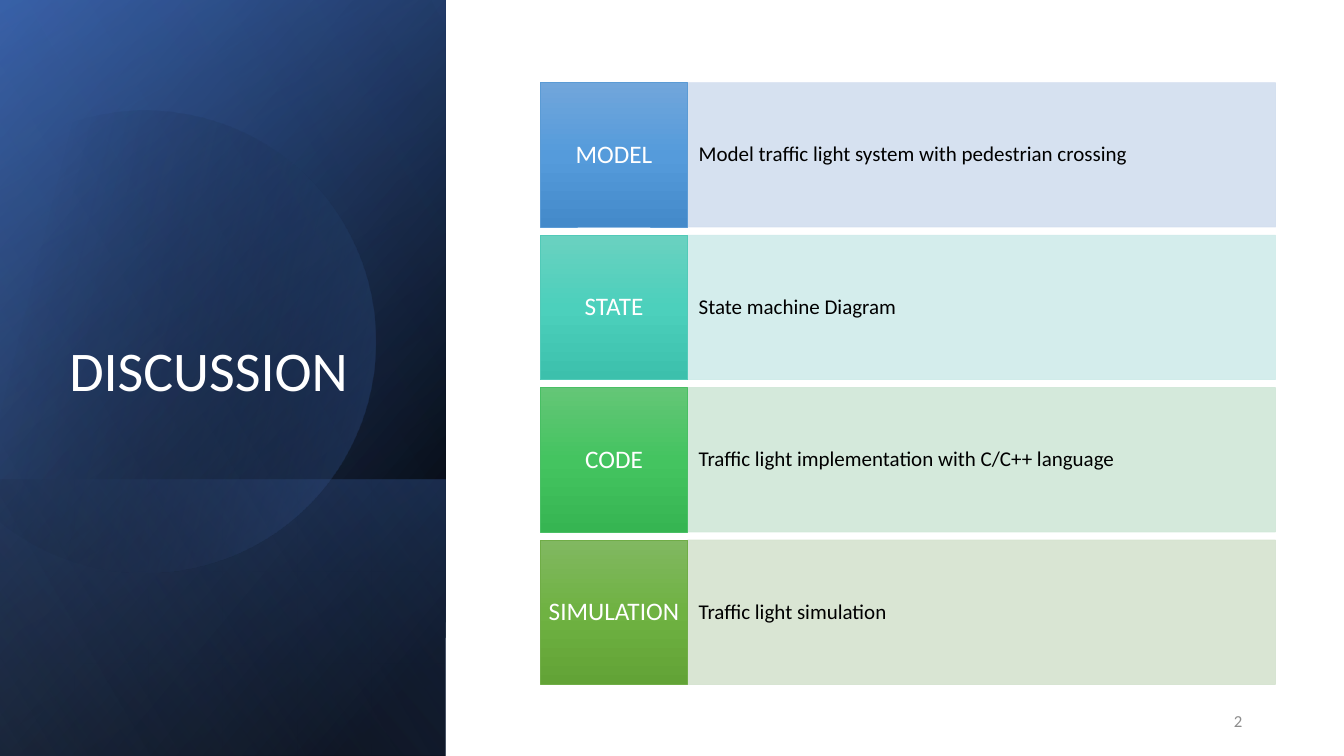
from dataclasses import dataclass
from math import cos, radians, sin

from lxml import etree
from pptx import Presentation
from pptx import util as u
from pptx.dml.color import RGBColor
from pptx.enum import shapes, text
from pptx.oxml.ns import qn


@dataclass(frozen=True)
class Theme:
    font: str = "Calibri"
    title_size: int = 40
    label_size: int = 18
    detail_size: int = 15
    number_size: int = 12
    white: str = "FFFFFF"
    black: str = "000000"
    gray: str = "8C8C8C"
    blue: str = "4472C4"
    deep_blue: str = "2F5597"
    pale_blue: str = "8FAADC"
    detail_alpha: int = 90


THEME = Theme()
WIDTH, HEIGHT = u.Inches(13.33), u.Inches(7.5)

# Shares of the slide, in percent
PANEL_WIDTH = 33.16
FOOT_TOP = 63.47
LABEL_LEFT, LABEL_WIDTH, DETAIL_WIDTH = 40.21, 10.95, 43.74
ROW_TOP, ROW_HEIGHT, ROW_GAP = 10.93, 19.1, 1.07

# Label, detail, label gradient, label outline, detail fill
TOPICS = [
    ("MODEL", "Model traffic light system with pedestrian crossing",
     ("71A6DB", "559BDB", "448ACA"), "5B9BD5", "D2DEEF"),
    ("STATE", "State machine Diagram",
     ("6AD1C0", "4CD0BC", "3CC0AC"), "52CAB8", "D0ECEA"),
    ("CODE", "Traffic light implementation with C/C++ language",
     ("64C677", "44C460", "36B552"), "49BF64", "D0E7D8"),
    ("SIMULATION", "Traffic light simulation",
     ("81B861", "6FB242", "62A336"), "70AD47", "D5E3CF"),
]


def across(percent):
    return round(WIDTH * percent / 100)


def down(percent):
    return round(HEIGHT * percent / 100)


def box(left, top, width, height):
    return across(left), down(top), across(width), down(height)


def set_alpha(color, percent):
    etree.SubElement(color, qn("a:alpha"), val=str(percent * 1000))


def fill_gradient(shape, stops, angle):
    """Fill with (position, colour, opacity) stops, all in percent."""
    shape.fill.gradient()
    gradient = shape._element.spPr.find(qn("a:gradFill"))
    stop_list = gradient.find(qn("a:gsLst"))
    for old_stop in list(stop_list):
        stop_list.remove(old_stop)
    for position, color, opacity in stops:
        stop = etree.SubElement(stop_list, qn("a:gs"), pos=str(position * 1000))
        tone = etree.SubElement(stop, qn("a:srgbClr"), val=color)
        if opacity < 100:
            set_alpha(tone, opacity)
    gradient.find(qn("a:lin")).set("ang", str(angle * 60000))


def write(shape, words, size, color, align=text.PP_ALIGN.LEFT,
          anchor=text.MSO_ANCHOR.MIDDLE, insets=(0.1, 0.05, 0.1, 0.05), spacing=0.9):
    frame = shape.text_frame
    frame.word_wrap = True
    frame.vertical_anchor = anchor
    frame.margin_left, frame.margin_top, frame.margin_right, frame.margin_bottom = (
        u.Inches(inset) for inset in insets)
    paragraph = frame.paragraphs[0]
    paragraph.alignment = align
    paragraph.line_spacing = spacing
    run = paragraph.add_run()
    run.text = words
    run.font.name = THEME.font
    run.font.size = u.Pt(size)
    run.font.color.rgb = RGBColor.from_string(color)


def add_rectangle(slide, area, outline=None):
    rectangle = slide.shapes.add_shape(shapes.MSO_SHAPE.RECTANGLE, *area)
    rectangle.shadow.inherit = False
    if outline:
        rectangle.line.color.rgb = RGBColor.from_string(outline)
        rectangle.line.width = u.Pt(0.5)
    else:
        rectangle.line.fill.background()
    return rectangle


def add_panel_layer(slide, top, stops, angle):
    """Cover the panel from top to the slide's foot, turned a quarter and mirrored."""
    left, top, width, height = box(0, top, PANEL_WIDTH, 100 - top)
    shift = (height - width) // 2
    layer = add_rectangle(slide, (left - shift, top + shift, height, width))
    layer.rotation = 90
    layer._element.spPr.find(qn("a:xfrm")).set("flipH", "1")
    fill_gradient(layer, stops, angle)


def add_disc(slide):
    """A tilted disc, cut off beyond the slide's left edge."""
    center_x, center_y, radius = across(10.73), down(44.6), down(30.53)
    first, last, steps = -117.5, 149.7, 120
    points = []
    for step in range(steps + 1):
        turn = radians(first + (last - first) * step / steps)
        points.append((round(center_x + radius * cos(turn)),
                       round(center_y + radius * sin(turn))))
    builder = slide.shapes.build_freeform(*points[0])
    builder.add_line_segments(points[1:], close=True)
    disc = builder.convert_to_shape()
    disc.rotation = 343.9
    disc.shadow.inherit = False
    disc.line.fill.background()
    fill_gradient(disc, [(29, THEME.black, 0), (100, THEME.blue, 43)], 30)


def add_topic(slide, row, label, detail, tones, outline, tint):
    top = ROW_TOP + row * (ROW_HEIGHT + ROW_GAP)

    detail_bar = add_rectangle(
        slide, box(LABEL_LEFT + LABEL_WIDTH, top, DETAIL_WIDTH, ROW_HEIGHT), tint)
    detail_bar.fill.solid()
    detail_bar.fill.fore_color.rgb = RGBColor.from_string(tint)
    for color in list(detail_bar._element.spPr.iter(qn("a:srgbClr"))):
        set_alpha(color, THEME.detail_alpha)
    write(detail_bar, detail, THEME.detail_size, THEME.black,
          insets=(0.11, 0.36, 0.11, 0.36))

    label_tile = add_rectangle(
        slide, box(LABEL_LEFT, top, LABEL_WIDTH, ROW_HEIGHT), outline)
    fill_gradient(label_tile, [(50 * i, tone, 100) for i, tone in enumerate(tones)], 90)
    write(label_tile, label, THEME.label_size, THEME.white,
          align=text.PP_ALIGN.CENTER, insets=(0.05, 0.14, 0.05, 0.14))


def main():
    deck = Presentation()
    deck.slide_width, deck.slide_height = WIDTH, HEIGHT
    slide = deck.slides.add_slide(deck.slide_layouts[6])

    # Dark panel
    add_panel_layer(slide, 0, [(8, THEME.black, 100), (100, THEME.deep_blue, 100)], 50)
    add_panel_layer(slide, 0, [(0, THEME.black, 0), (99, THEME.blue, 46)], 30)
    add_panel_layer(slide, FOOT_TOP, [(2, THEME.blue, 29), (100, THEME.black, 30)], 130)
    add_disc(slide)
    add_panel_layer(slide, 0, [(0, THEME.black, 0), (99, THEME.pale_blue, 11)], 120)

    # Title
    title = slide.shapes.add_textbox(*box(2.03, 27.2, 25.58, 34.93))
    write(title, "DISCUSSION", THEME.title_size, THEME.white,
          align=text.PP_ALIGN.RIGHT, anchor=text.MSO_ANCHOR.BOTTOM,
          insets=(0.1, 0.05, 0.23, 0.66))

    # Topics
    for row, topic in enumerate(TOPICS):
        add_topic(slide, row, *topic)

    # Slide number
    number = slide.shapes.add_textbox(*box(70.67, 92.67, 22.5, 5.33))
    write(number, "2", THEME.number_size, THEME.gray,
          align=text.PP_ALIGN.RIGHT, spacing=1.0)

    deck.save("out.pptx")


if __name__ == "__main__":
    main()
